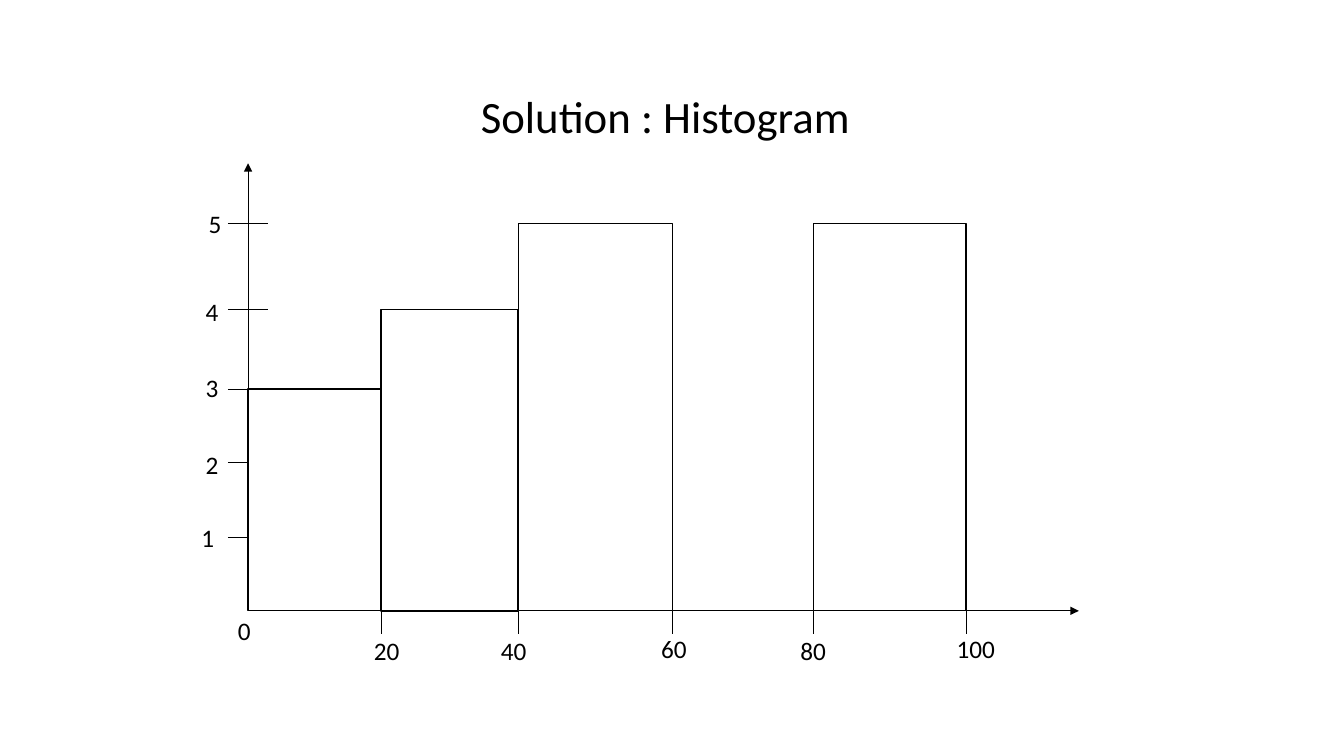
from lxml.etree import SubElement
from pptx import Presentation
from pptx.dml.color import RGBColor
from pptx.enum.shapes import MSO_CONNECTOR, MSO_SHAPE
from pptx.enum.text import MSO_AUTO_SIZE
from pptx.oxml.ns import qn
from pptx.util import Inches, Pt

BLACK = RGBColor(0, 0, 0)
WHITE = RGBColor(255, 255, 255)
FONT = "Calibri"

# Grid: one column or row is a tenth of an inch.
CELL = Inches(0.1)
ORIGIN_X, BASE_Y = 24.6, 60.6
AXIS_RIGHT, AXIS_TOP = 107, 16.2
LABEL_HEIGHT = 4

# Frequency: (row of its tick, label column, label row)
FREQUENCIES = {
    1: (53.3, 19, 51.3),
    2: (45.9, 19.4, 44.1),
    3: (38.6, 19.4, 36.4),
    4: (30.7, 19.4, 28.9),
    5: (22.2, 19.7, 20.2),
}
# Class boundary: (column of its tick, label column, label row)
BOUNDARIES = {
    20: (37.8, 36.1, 62.5),
    40: (51.4, 48.7, 62.5),
    60: (66.7, 64.6, 62.3),
    80: (80.7, 78.4, 62.5),
    100: (95.8, 93.9, 62.3),
}
# Lower class boundary, upper class boundary, frequency
CLASSES = [(0, 20, 3), (20, 40, 4), (40, 60, 5), (80, 100, 5)]


class HistogramSlide:
    """Holds the style and the slide being drawn."""

    def __init__(self, slide):
        """Keep the slide whose shapes are added."""
        self.shapes = slide.shapes

    def text(self, wording, column, row, columns, rows=LABEL_HEIGHT, size=18):
        """Add a text box with one run."""
        box = self.shapes.add_textbox(*self.lengths(column, row, columns, rows))
        frame = box.text_frame
        frame.word_wrap = True
        frame.auto_size = MSO_AUTO_SIZE.SHAPE_TO_FIT_TEXT
        run = frame.paragraphs[0].add_run()
        run.text = wording
        run.font.name = FONT
        run.font.size = Pt(size)
        run.font.color.rgb = BLACK

    def line(self, start, end, arrow=False):
        """Add a thin line, with an arrowhead at its end if asked."""
        connector = self.shapes.add_connector(
            MSO_CONNECTOR.STRAIGHT, *self.lengths(*start, *end))
        connector.line.color.rgb = BLACK
        connector.line.width = Pt(0.5)
        if arrow:
            SubElement(connector.line._get_or_add_ln(), qn("a:tailEnd"), type="triangle")
        SubElement(connector._element.spPr, qn("a:effectLst"))

    def bar(self, left, right, top):
        """Add a bar that stands on the horizontal axis."""
        shape = self.shapes.add_shape(
            MSO_SHAPE.RECTANGLE,
            *self.lengths(left, top, right - left, BASE_Y - top))
        shape.shadow.inherit = False
        shape.fill.solid()
        shape.fill.fore_color.rgb = WHITE
        shape.line.color.rgb = BLACK
        shape.line.width = Pt(1)

    @staticmethod
    def lengths(*cells):
        """Turn grid cells into slide lengths."""
        return [round(cell * CELL) for cell in cells]


def draw_axes(page):
    """Draw both axes with their ticks and labels."""
    origin = (ORIGIN_X, BASE_Y)
    page.line(origin, (AXIS_RIGHT, BASE_Y), arrow=True)
    page.line(origin, (ORIGIN_X, AXIS_TOP), arrow=True)
    page.text("0", ORIGIN_X - 2, BASE_Y, 3.8)
    for frequency, (tick, column, row) in FREQUENCIES.items():
        page.line((ORIGIN_X - 2, tick), (ORIGIN_X + 2, tick))
        page.text(str(frequency), column, row, 3.6)
    for boundary, (tick, column, row) in BOUNDARIES.items():
        page.line((tick, BASE_Y - 2.3), (tick, BASE_Y + 2.3))
        page.text(str(boundary), column, row, 6.7)


def draw_bars(page):
    """Draw one bar for each class that has values."""
    columns = {0: ORIGIN_X} | {key: place[0] for key, place in BOUNDARIES.items()}
    for lower, upper, frequency in CLASSES:
        page.bar(columns[lower], columns[upper], FREQUENCIES[frequency][0])


def main():
    """Build the presentation and save it."""
    presentation = Presentation()
    presentation.slide_width = Inches(13.33)
    presentation.slide_height = Inches(7.5)
    slide = presentation.slides.add_slide(presentation.slide_layouts[6])
    page = HistogramSlide(slide)
    draw_axes(page)
    draw_bars(page)
    page.text("Solution : Histogram", 46.7, 8.3, 53.2, rows=6.4, size=32)
    presentation.save("out.pptx")


main()
